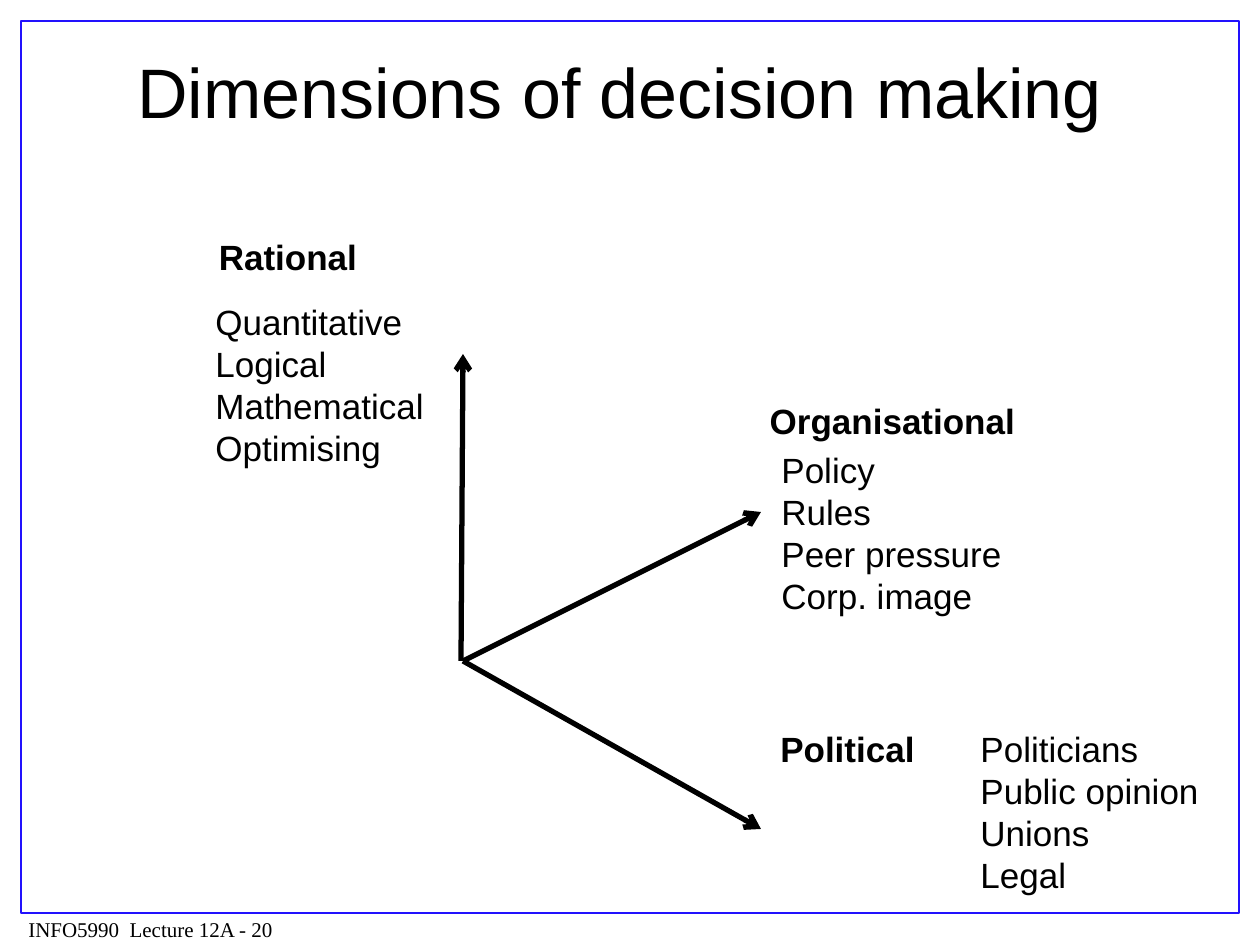
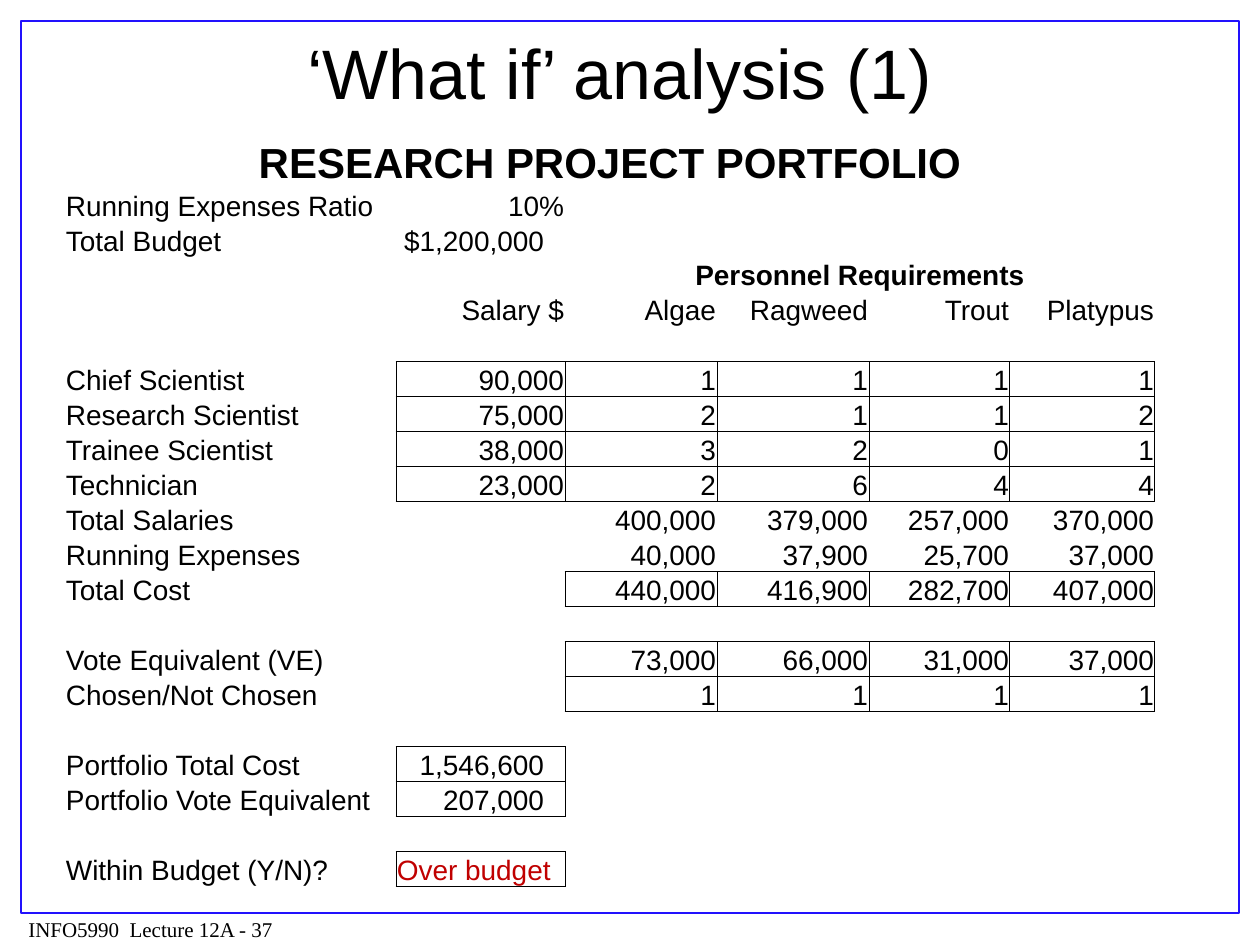
import pptx
import pptx.dml.color
import pptx.enum.shapes
import pptx.enum.text
import pptx.oxml
import pptx.oxml.ns
import pptx.util

ALIGN = pptx.enum.text.PP_ALIGN
ANCHOR = pptx.enum.text.MSO_ANCHOR
BLACK, FRAME_BLUE, ALERT_RED = "000000", "2211FD", "C00000"
NO_GRID_STYLE = "{2D5ABB26-0587-4C30-8999-92F81FD0307C}"

ORIGIN = (463, 661)
ARROWS = [((461, 661), (463, 354)), (ORIGIN, (761, 829)), (ORIGIN, (761, 512))]
DIMENSIONS = [
    ("Rational", (174, 229, 228, 55),
     ["Quantitative", "Logical", "Mathematical", "Optimising"], (203, 294, 238, 183)),
    ("Organisational", (679, 393, 427, 55),
     ["Policy", "Rules", "Peer pressure", "Corp. image"], (769, 442, 268, 183)),
    ("Political", (669, 721, 357, 55),
     ["Politicians", "Public opinion", "Unions", "Legal"], (968, 721, 268, 183)),
]

COLUMN_WIDTHS = [331, 169, 152, 152, 141, 145]
HEADING_HEIGHT, ROW_HEIGHT = 52, 35
PORTFOLIO = [
    ["RESEARCH PROJECT PORTFOLIO"],
    ["Running Expenses Ratio", "10%"],
    ["Total Budget", "$1,200,000"],
    ["", "", "Personnel Requirements"],
    ["", "Salary $", "Algae", "Ragweed", "Trout", "Platypus"],
    [],
    ["Chief Scientist", "90,000", "1", "1", "1", "1"],
    ["Research Scientist", "75,000", "2", "1", "1", "2"],
    ["Trainee Scientist", "38,000", "3", "2", "0", "1"],
    ["Technician", "23,000", "2", "6", "4", "4"],
    ["Total Salaries", "", "400,000", "379,000", "257,000", "370,000"],
    ["Running Expenses", "", "40,000", "37,900", "25,700", "37,000"],
    ["Total Cost", "", "440,000", "416,900", "282,700", "407,000"],
    [],
    ["Vote Equivalent (VE)", "", "73,000", "66,000", "31,000", "37,000"],
    ["Chosen/Not Chosen", "", "1", "1", "1", "1"],
    [],
    ["Portfolio Total Cost", "1,546,600"],
    ["Portfolio Vote Equivalent", "207,000"],
    [],
    ["Within Budget (Y/N)?", "Over budget"],
]
SPANNING_HEADINGS = {(0, 0): 24, (3, 2): 16}
BOXED_ROWS = {6, 7, 8, 9, 12, 14, 15, 17, 18, 20}
INDENTED_AMOUNTS = {"$1,200,000", "1,546,600", "207,000"}


def px(length):
    """Turn a length in px into EMU."""
    return pptx.util.Emu(round(length * 914400 / 126))


def color(value):
    """Turn a hex string into a colour."""
    return pptx.dml.color.RGBColor.from_string(value)


def style_text(frame, size, align=ALIGN.LEFT, bold=False, ink=BLACK, font="Arial"):
    """Format every paragraph and run of a text frame."""
    for para in frame.paragraphs:
        para.alignment = align
        para.line_spacing = pptx.util.Pt(size * 1.2)
        for span in para.runs:
            span.font.name = font
            span.font.size = pptx.util.Pt(size)
            span.font.bold = bold
            span.font.color.rgb = color(ink)


def add_text(page, box, text, size, anchor=ANCHOR.TOP, **style):
    """Add a wrapped text box."""
    frame = page.shapes.add_textbox(*map(px, box)).text_frame
    frame.word_wrap = True
    frame.vertical_anchor = anchor
    frame.text = text
    style_text(frame, size, **style)


def add_page(deck, number, title, title_box):
    """Add a slide with its footer, frame and title."""
    page = deck.slides.add_slide(deck.slide_layouts[6])
    add_text(page, (16, 910, 355, 38), f"INFO5990  Lecture 12A - {number}", 12,
             font="Times New Roman")
    border = page.shapes.add_shape(pptx.enum.shapes.MSO_SHAPE.RECTANGLE,
                                   *map(px, (21, 21, 1218, 892)))
    border.shadow.inherit = False
    border.fill.background()
    border.line.color.rgb = color(FRAME_BLUE)
    border.line.width = pptx.util.Pt(1.5)
    add_text(page, title_box, title, 40, anchor=ANCHOR.MIDDLE, align=ALIGN.CENTER)
    return page


def add_arrow(shapes, start, end):
    """Add a straight black arrow from start to end."""
    arrow = shapes.add_connector(pptx.enum.shapes.MSO_CONNECTOR.STRAIGHT,
                                 *map(px, start + end))
    arrow.line.color.rgb = color(BLACK)
    arrow.line.width = pptx.util.Pt(3)
    namespace = pptx.oxml.ns.nsdecls("a")
    arrow.line._get_or_add_ln().append(
        pptx.oxml.parse_xml(f'<a:tailEnd {namespace} type="arrow"/>'))
    arrow._element.spPr.append(pptx.oxml.parse_xml(f"<a:effectLst {namespace}/>"))


def add_dimensions(page):
    """Draw the three axes and their labelled lists."""
    axes = page.shapes.add_group_shape()
    for start, end in ARROWS:
        add_arrow(axes.shapes, start, end)
    for heading, heading_box, traits, traits_box in DIMENSIONS:
        add_text(page, heading_box, heading, 20, align=ALIGN.CENTER, bold=True)
        add_text(page, traits_box, "\n".join(traits), 20)


def box_cell(cell):
    """Give a cell a thin border on all sides."""
    for index, side in enumerate("LRTB"):
        cell._tc.get_or_add_tcPr().insert(index, pptx.oxml.parse_xml(
            f'<a:ln{side} {pptx.oxml.ns.nsdecls("a")} w="6350"><a:solidFill>'
            f'<a:srgbClr val="{BLACK}"/></a:solidFill></a:ln{side}>'))


def fill_cell(cell, text, row, column):
    """Write and format one cell of the portfolio table."""
    cell.fill.background()
    cell.vertical_anchor = ANCHOR.BOTTOM
    cell.margin_left = cell.margin_top = px(1)
    cell.margin_right = px(21 if text in INDENTED_AMOUNTS else 1)
    cell.margin_bottom = 0
    frame = cell.text_frame
    frame.text = text
    heading = (row, column) in SPANNING_HEADINGS
    over_budget = text == "Over budget"
    if heading:
        align = ALIGN.CENTER
    else:
        align = ALIGN.LEFT if column == 0 or over_budget else ALIGN.RIGHT
    style_text(frame, SPANNING_HEADINGS.get((row, column), 16), align, heading,
               ALERT_RED if over_budget else BLACK)
    if not text:
        frame.paragraphs[0]._p.get_or_add_endParaRPr().set("sz", "1600")
    if text and column and row in BOXED_ROWS:
        box_cell(cell)


def add_portfolio(page, left, top):
    """Add the portfolio table at the given corner."""
    height = HEADING_HEIGHT + ROW_HEIGHT * (len(PORTFOLIO) - 1)
    box = (left, top, sum(COLUMN_WIDTHS), height)
    table = page.shapes.add_table(len(PORTFOLIO), len(COLUMN_WIDTHS), *map(px, box)).table
    table.first_row = table.horz_banding = False
    table._tbl.tblPr.find(pptx.oxml.ns.qn("a:tableStyleId")).text = NO_GRID_STYLE
    for column, width in zip(table.columns, COLUMN_WIDTHS):
        column.width = px(width)
    for row, values in enumerate(PORTFOLIO):
        table.rows[row].height = px(ROW_HEIGHT if row else HEADING_HEIGHT)
        for column in range(len(COLUMN_WIDTHS)):
            text = values[column] if column < len(values) else ""
            fill_cell(table.cell(row, column), text, row, column)
    for row, column in SPANNING_HEADINGS:
        table.cell(row, column).merge(table.cell(row, len(COLUMN_WIDTHS) - 1))


def main():
    """Build and save the deck."""
    deck = pptx.Presentation()
    deck.slide_width, deck.slide_height = px(1260), px(945)
    add_dimensions(add_page(deck, 20, "Dimensions of decision making", (84, 45, 1071, 91)))
    add_portfolio(add_page(deck, 37, "‘What if’ analysis (1)", (84, 37, 1071, 69)), 65, 135)
    deck.save("out.pptx")


if __name__ == "__main__":
    main()
